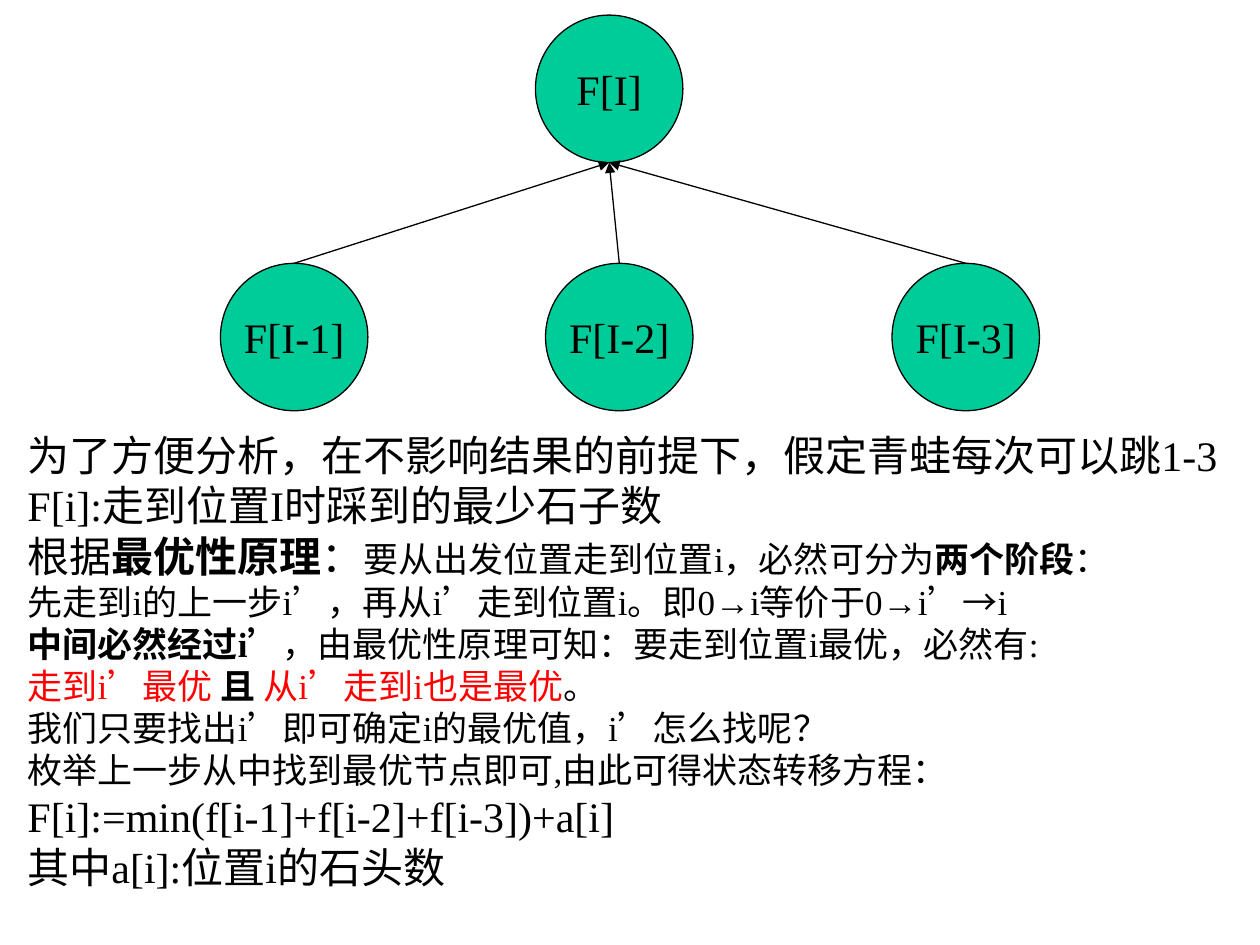
from lxml import etree
from pptx import Presentation
from pptx.dml.color import RGBColor
from pptx.enum.lang import MSO_LANGUAGE_ID
from pptx.enum.shapes import MSO_CONNECTOR, MSO_SHAPE
from pptx.enum.text import MSO_ANCHOR, MSO_AUTO_SIZE, PP_ALIGN
from pptx.oxml.ns import qn
from pptx.util import Inches, Pt

OVAL = MSO_SHAPE.OVAL
STRAIGHT = MSO_CONNECTOR.STRAIGHT
MIDDLE = MSO_ANCHOR.MIDDLE
CENTER = PP_ALIGN.CENTER
GROW = MSO_AUTO_SIZE.SHAPE_TO_FIT_TEXT
CHINESE = MSO_LANGUAGE_ID.SIMPLIFIED_CHINESE

GREEN = RGBColor(0x00, 0xCC, 0x99)
BLACK = RGBColor(0x00, 0x00, 0x00)
RED = RGBColor(0xFF, 0x00, 0x00)
SERIF, SANS = "Times New Roman", "Arial"
LARGE, SMALL = 24, 20
SIZE = 1.17

GOAL = ("F[I]", 4.25, 0.12)
STEPS = [("F[I-1]", 1.75, 2.09), ("F[I-2]", 4.33, 2.09), ("F[I-3]", 7.08, 2.09)]

BOLD = {"bold": True}
ALERT = {"color": RED}
BIG = {"size": LARGE}
ARROW = ("→", {"font": SANS})

# Each line is a list of runs; a run is plain text or text with its style.
LINES = [
    [("为了方便分析，在不影响结果的前提下，假定青蛙每次可以跳1-3", BIG)],
    [("F[i]:走到位置I时踩到的最少石子数", BIG)],
    [("根据", BIG), ("最优性原理", {**BIG, **BOLD}), ("：", BIG),
     "要从出发位置走到位置i，必然可分为", ("两个阶段", BOLD), "："],
    ["先走到i的上一步i’，再从i’走到位置i。即0", ARROW, "i等价于0", ARROW,
     "i’", ARROW, "i"],
    [("中间必然经过i’", BOLD), "，由最优性原理可知：要走到位置i最优，必然有:"],
    [("走到i’最优 ", ALERT), ("且 ", BOLD), ("从i’走到i也是最优", ALERT), "。"],
    ["我们只要找出i’即可确定i的最优值，i’怎么找呢？"],
    ["枚举上一步从中找到最优节点即可,由此可得状态转移方程："],
    [("F[i]:=min(f[i-1]+f[i-2]+f[i-3])+a[i]", BIG)],
    [("其中a[i]:位置i的石头数", BIG)],
]


def style(run, size=SMALL, bold=False, color=BLACK, font=SERIF):
    run.font.size = Pt(size)
    run.font.bold = bold
    run.font.color.rgb = color
    run.font.name = font
    run.font.language_id = CHINESE


def add_node(slide, label, left, top):
    node = slide.shapes.add_shape(
        OVAL, Inches(left), Inches(top), Inches(SIZE), Inches(SIZE))
    node.shadow.inherit = False
    node.fill.solid()
    node.fill.fore_color.rgb = GREEN
    node.line.color.rgb = BLACK
    node.line.width = Pt(0.75)
    frame = node.text_frame
    frame.word_wrap = False
    frame.vertical_anchor = MIDDLE
    frame.text = label
    para = frame.paragraphs[0]
    para.alignment = CENTER
    style(para.runs[0], LARGE)
    return node


def add_arrow(slide, child, parent):
    """Point from the top of child to the bottom of parent."""
    line = slide.shapes.add_connector(
        STRAIGHT, child.left + child.width // 2, child.top,
        parent.left + parent.width // 2, parent.top + parent.height)
    line.line.color.rgb = BLACK
    line.line.width = Pt(0.75)
    tail = etree.SubElement(line.line._get_or_add_ln(), qn("a:tailEnd"))
    tail.set("type", "triangle")
    etree.SubElement(line._element.spPr, qn("a:effectLst"))


def add_lines(slide, lines):
    box = slide.shapes.add_textbox(
        Inches(0.12), Inches(3.36), Inches(9.8), Inches(3.77))
    frame = box.text_frame
    frame.word_wrap = True
    frame.auto_size = GROW
    for i, parts in enumerate(lines):
        para = frame.add_paragraph() if i else frame.paragraphs[0]
        for part in parts:
            text, look = (part, {}) if isinstance(part, str) else part
            run = para.add_run()
            run.text = text
            style(run, **look)


def main():
    deck = Presentation()
    deck.slide_width, deck.slide_height = Inches(10), Inches(7.5)
    slide = deck.slides.add_slide(deck.slide_layouts[6])
    goal = add_node(slide, *GOAL)
    steps = [add_node(slide, *step) for step in STEPS]
    for step in steps:
        add_arrow(slide, step, goal)
    add_lines(slide, LINES)
    deck.save("out.pptx")


if __name__ == "__main__":
    main()
